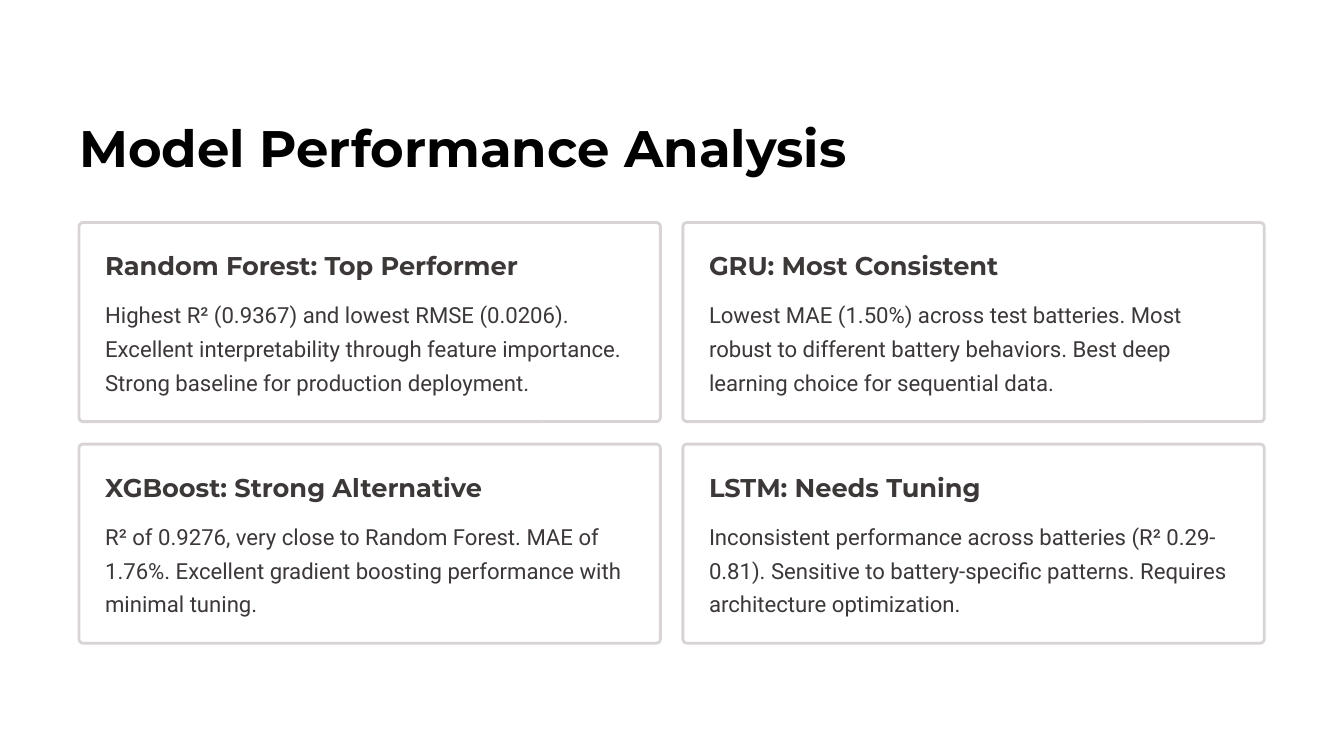
from pptx import Presentation
from pptx.dml.color import RGBColor
from pptx.enum.shapes import MSO_SHAPE as Shape
from pptx.enum.text import MSO_ANCHOR as Anchor, MSO_AUTO_SIZE as Fit, PP_ALIGN as Align
from pptx.util import Cm, Pt

# Content
TITLE = "Model Performance Analysis"
CARDS = [
    ("Random Forest: Top Performer",
     "Highest R² (0.9367) and lowest RMSE (0.0206). Excellent interpretability "
     "through feature importance. Strong baseline for production deployment."),
    ("GRU: Most Consistent",
     "Lowest MAE (1.50%) across test batteries. Most robust to different battery "
     "behaviors. Best deep learning choice for sequential data."),
    ("XGBoost: Strong Alternative",
     "R² of 0.9276, very close to Random Forest. MAE of 1.76%. Excellent gradient "
     "boosting performance with minimal tuning."),
    ("LSTM: Needs Tuning",
     "Inconsistent performance across batteries (R² 0.29-0.81). Sensitive to "
     "battery-specific patterns. Requires architecture optimization."),
]

# Formats
INK, EDGE, WHITE, BLACK = "3D3838", "D8D4D4", "FFFFFF", "000000"
HEAD = dict(font="Montserrat", size=22, lead=27.5, bold=True, wrap=False)
BODY = dict(font="Roboto", size=19, lead=29)

# Card grid, in cm
COLS = 2
LEFT, TOP = 2.39, 6.73
WIDE, HIGH = 17.58, 6.02
GAP = 0.68
PAD = 0.79


def paint(hue):
    return RGBColor.from_string(hue)


def write(shape, text, font, size, lead, color=INK, bold=False, wrap=True):
    frame = shape.text_frame
    frame.auto_size = Fit.NONE
    frame.word_wrap = wrap
    frame.vertical_anchor = Anchor.TOP
    frame.margin_left = frame.margin_right = 0
    frame.margin_top = frame.margin_bottom = 0
    para = frame.paragraphs[0]
    para.alignment = Align.LEFT
    para.line_spacing = Pt(lead)
    para.space_before = Pt(0)
    run = para.add_run()
    run.text = text
    run.font.name = font
    run.font.size = Pt(size)
    run.font.bold = bold
    run.font.color.rgb = paint(color)


def box(slide, x, y, w, h):
    return slide.shapes.add_textbox(Cm(x), Cm(y), Cm(w), Cm(h))


def card(slide, x, y, head, body):
    # Frame
    panel = slide.shapes.add_shape(
        Shape.ROUNDED_RECTANGLE, Cm(x), Cm(y), Cm(WIDE), Cm(HIGH))
    panel.adjustments[0] = 0.02
    panel.shadow.inherit = False
    panel.fill.solid()
    panel.fill.fore_color.rgb = paint(WHITE)
    panel.line.color.rgb = paint(EDGE)
    panel.line.width = Pt(2.4)
    # Heading and text
    inner = WIDE - 2 * PAD
    write(box(slide, x + PAD, y + PAD, inner, 0.97), head, **HEAD)
    write(box(slide, x + PAD, y + 2.17, inner, 3.07), body, **BODY)


def main():
    deck = Presentation()
    deck.slide_width, deck.slide_height = Cm(40.64), Cm(22.86)
    slide = deck.slides.add_slide(deck.slide_layouts[5])

    # Title
    title = slide.shapes.title
    title.left, title.top = Cm(LEFT), Cm(3.43)
    title.width, title.height = Cm(23.29), Cm(1.96)
    write(title, TITLE, font="Montserrat", size=44, lead=55,
          color=BLACK, bold=True, wrap=False)

    # Cards, row by row
    for i, (head, body) in enumerate(CARDS):
        row, col = divmod(i, COLS)
        card(slide, LEFT + col * (WIDE + GAP), TOP + row * (HIGH + GAP), head, body)

    deck.save("out.pptx")


if __name__ == "__main__":
    main()
